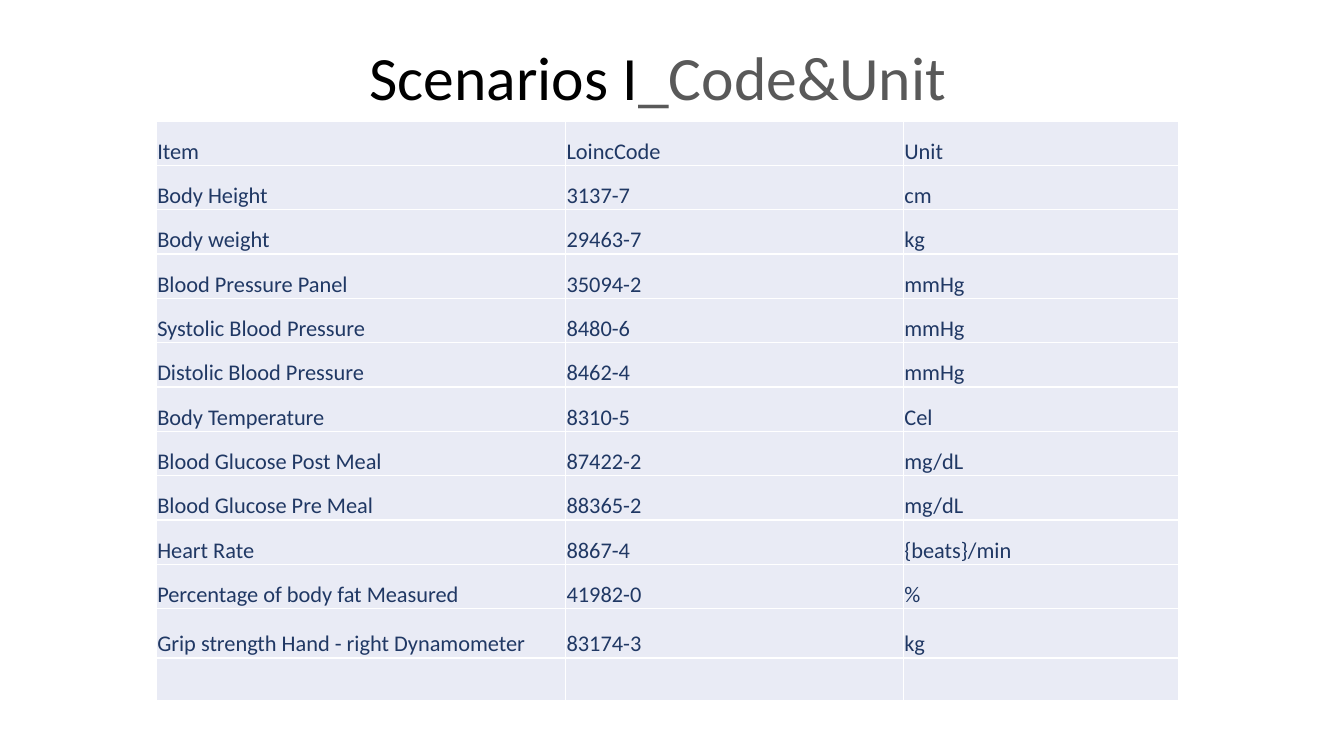
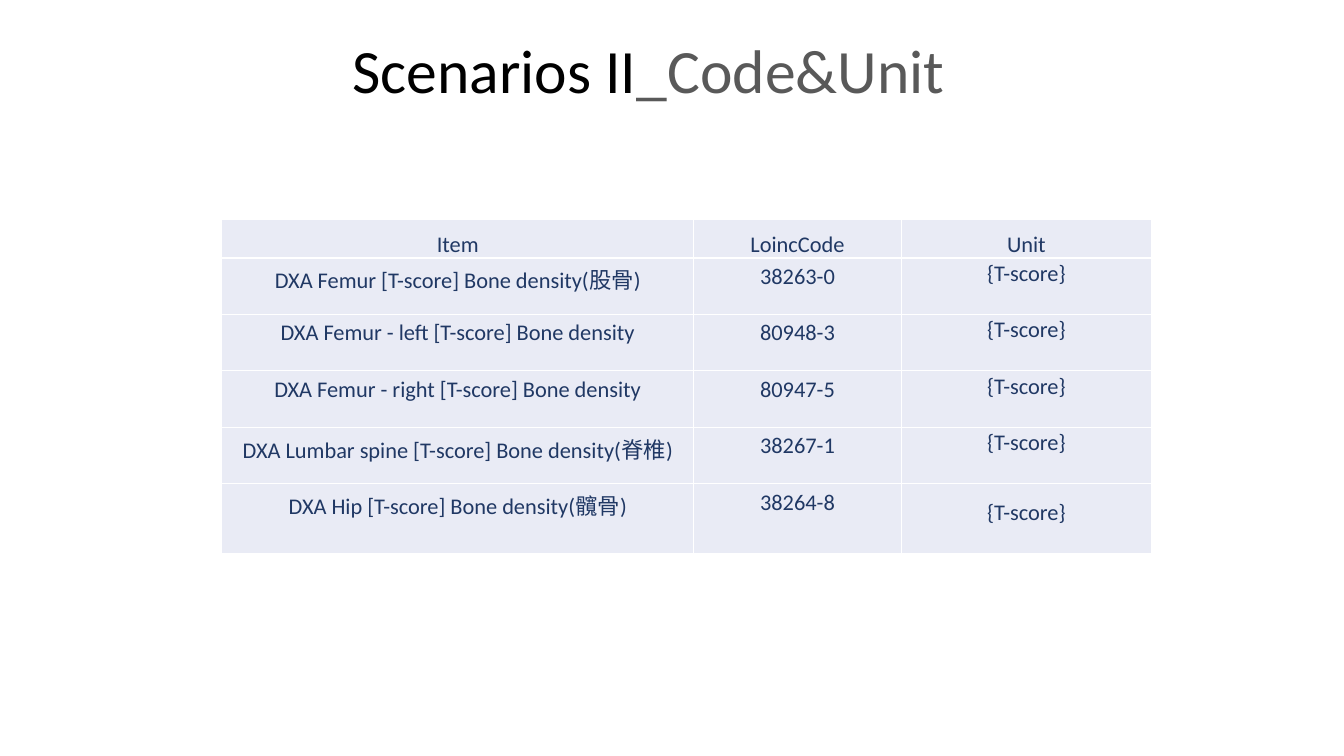
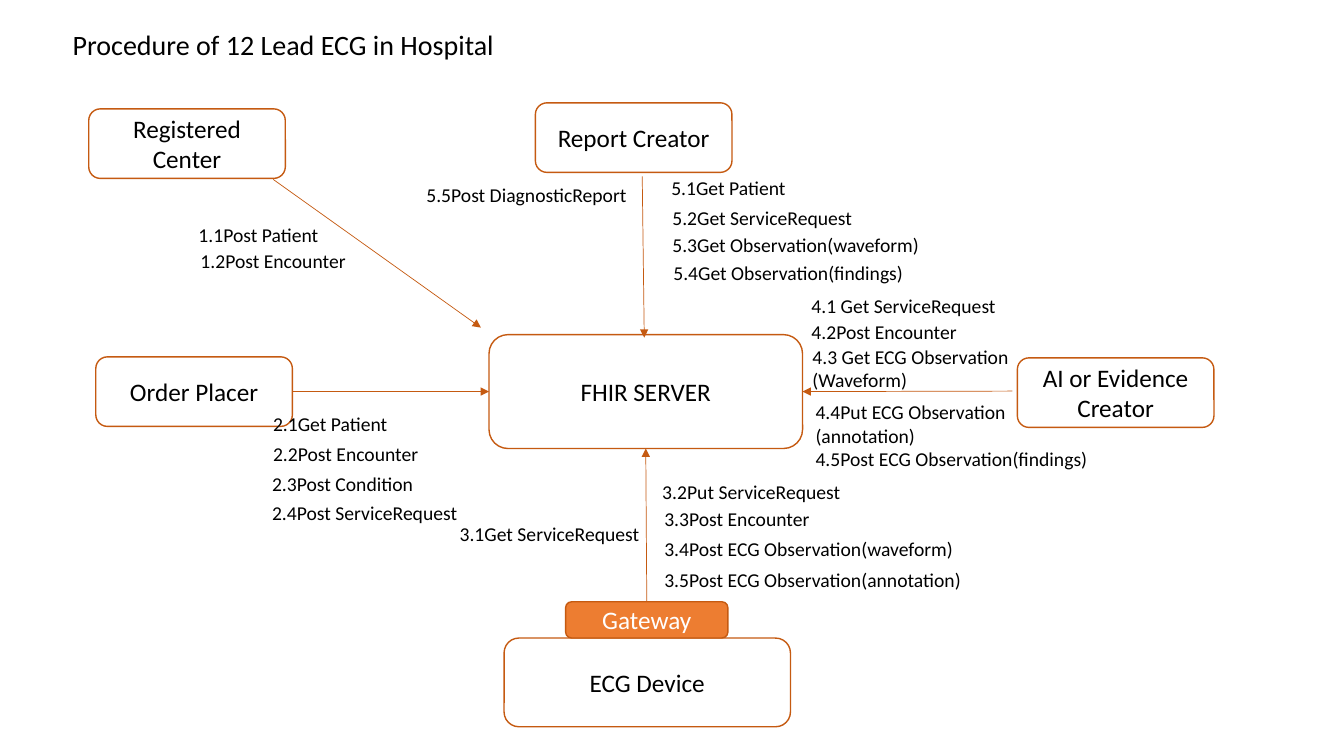
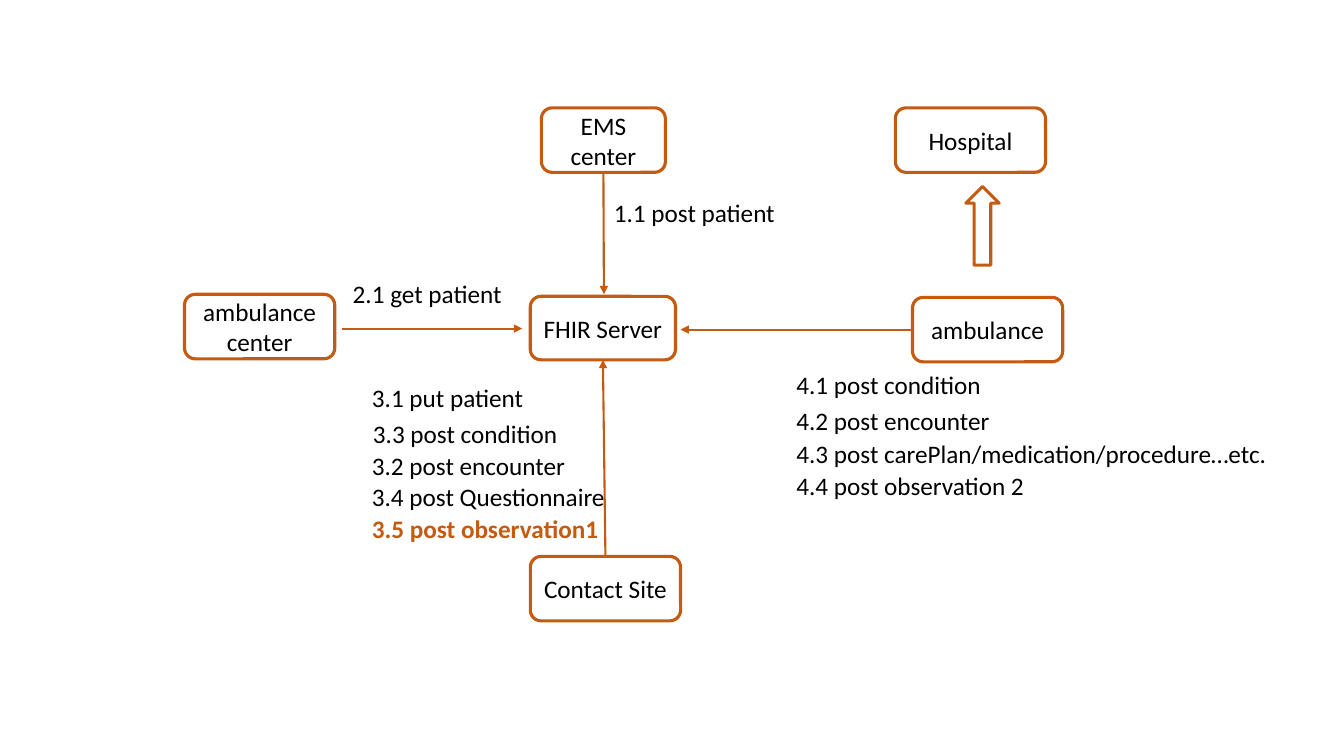
"""Build four slides on FHIR code tables and data exchange scenarios."""
from dataclasses import dataclass
from typing import NamedTuple

from lxml import etree
from pptx import Presentation
from pptx.dml.color import RGBColor
from pptx.enum import shapes, text
from pptx.oxml import ns
from pptx.util import Inches, Pt

FONT = "Calibri"
BLACK, GREY, WHITE = "000000", "595959", "FFFFFF"
NAVY, PALE = "203864", "E9EBF5"
RUST, ORANGE = "C55A11", "ED7D31"
TITLE_ONLY, BLANK = 5, 6
TOP, LEFT, BOTTOM, RIGHT = range(4)


class Area(NamedTuple):
    """Left, top, width and height in inches."""
    left: float
    top: float
    width: float
    height: float


class Insets(NamedTuple):
    """Left, top, right and bottom cell margins in inches."""
    left: float
    top: float
    right: float
    bottom: float


TIGHT = Insets(0.01, 0.01, 0.01, 0)
RAISED = Insets(0.01, 0.01, 0.01, 0.27)
ROOMY = Insets(0.1, 0.05, 0.1, 0.05)


@dataclass
class Node:
    """A rounded box of a diagram."""
    name: str
    area: Area
    fill: str | None = None
    ink: str = BLACK


@dataclass
class Label:
    """A message label beside an arrow."""
    left: float
    top: float
    width: float
    words: str
    ink: str = BLACK
    bold: bool = False


class Arrow(NamedTuple):
    """An arrow between points (x, y) or joints (node name, side)."""
    begin: tuple
    end: tuple


@dataclass
class Diagram:
    """The parts and sizes of one diagram."""
    nodes: list[Node]
    arrows: list[Arrow]
    labels: list[Label]
    label_size: float
    box_line: float
    arrow_line: float


CODE_ROWS = [
    ("Item", "LoincCode", "Unit"),
    ("Body Height", "3137-7", "cm"),
    ("Body weight", "29463-7", "kg"),
    ("Blood Pressure Panel", "35094-2", "mmHg"),
    ("Systolic Blood Pressure", "8480-6", "mmHg"),
    ("Distolic Blood Pressure", "8462-4", "mmHg"),
    ("Body Temperature", "8310-5", "Cel"),
    ("Blood Glucose Post Meal", "87422-2", "mg/dL"),
    ("Blood Glucose Pre Meal", "88365-2", "mg/dL"),
    ("Heart Rate", "8867-4", "{beats}/min"),
    ("Percentage of body fat Measured", "41982-0", "%"),
    ("Grip strength Hand - right Dynamometer", "83174-3", "kg"),
    ("", "", ""),
]

BONE_ROWS = [
    ("Item", "LoincCode", "Unit"),
    ("DXA Femur [T-score] Bone density(股骨)", "38263-0", "{T-score}"),
    ("DXA Femur - left [T-score] Bone density", "80948-3", "{T-score}"),
    ("DXA Femur - right [T-score] Bone density", "80947-5", "{T-score}"),
    ("DXA Lumbar spine [T-score] Bone density(脊椎)", "38267-1", "{T-score}"),
    ("DXA Hip [T-score] Bone density(髖骨)", "38264-8", "{T-score}"),
]

ECG = Diagram(
    nodes=[
        Node("Order Placer", Area(0.95, 3.54, 1.95, 0.69)),
        Node("FHIR SERVER", Area(4.85, 3.32, 3.11, 1.13)),
        Node("ECG Device", Area(5, 6.33, 2.84, 0.88)),
        Node("Report Creator", Area(5.31, 1.02, 1.95, 0.69)),
        Node("AI or Evidence Creator", Area(10.09, 3.55, 1.95, 0.69)),
        Node("Registered Center", Area(0.88, 1.08, 1.95, 0.69)),
        Node("Gateway", Area(5.61, 5.97, 1.61, 0.36), ORANGE, WHITE),
    ],
    arrows=[
        Arrow((6.37, 1.75), (6.39, 3.35)),
        Arrow(("Order Placer", RIGHT), ("FHIR SERVER", LEFT)),
        Arrow(("Gateway", TOP), ("FHIR SERVER", BOTTOM)),
        Arrow((10.04, 3.88), ("FHIR SERVER", RIGHT)),
        Arrow((2.71, 1.78), (4.77, 3.25)),
    ],
    labels=[
        Label(1.87, 2.16, 1.64, "1.1Post Patient"),
        Label(1.89, 2.42, 1.9, "1.2Post Encounter"),
        Label(2.61, 4.04, 2.33, "2.1Get Patient"),
        Label(2.61, 4.33, 2.33, "2.2Post Encounter"),
        Label(2.6, 4.63, 2.33, "2.3Post Condition"),
        Label(2.6, 4.92, 2.33, "2.4Post ServiceRequest"),
        Label(4.46, 5.13, 2.01, "3.1Get ServiceRequest"),
        Label(6.47, 4.71, 2.03, "3.2Put ServiceRequest"),
        Label(6.49, 4.98, 2.03, "3.3Post Encounter"),
        Label(6.49, 5.28, 3.09, "3.4Post ECG Observation(waveform)"),
        Label(6.49, 5.58, 3.29, "3.5Post ECG Observation(annotation)"),
        Label(7.95, 2.87, 2.41, "4.1 Get ServiceRequest"),
        Label(7.95, 3.12, 2.03, "4.2Post Encounter"),
        Label(7.96, 3.37, 2.41, "4.3 Get ECG Observation\n(Waveform)"),
        Label(7.99, 3.92, 2.98, "4.4Put ECG Observation\n(annotation)\n"
                                "4.5Post ECG Observation(findings)"),
        Label(6.56, 1.7, 2.33, "5.1Get Patient"),
        Label(6.57, 1.99, 5.27, "5.2Get ServiceRequest"),
        Label(6.57, 2.26, 2.66, "5.3Get Observation(waveform)"),
        Label(6.58, 2.54, 3.2, "5.4Get Observation(findings)"),
        Label(4.13, 1.77, 2.95, "5.5Post DiagnosticReport"),
    ],
    label_size=14, box_line=1, arrow_line=0.5,
)

EMERGENCY = Diagram(
    nodes=[
        Node("EMS center", Area(5.37, 1.07, 1.23, 0.64)),
        Node("FHIR Server", Area(5.26, 2.94, 1.44, 0.63)),
        Node("ambulance center", Area(1.83, 2.92, 1.49, 0.64)),
        Node("Contact Site", Area(5.26, 5.52, 1.49, 0.64)),
        Node("ambulance", Area(9.05, 2.95, 1.49, 0.64)),
        Node("Hospital", Area(8.88, 1.07, 1.49, 0.64)),
    ],
    arrows=[
        Arrow(("EMS center", BOTTOM), (5.99, 2.92)),
        Arrow((3.39, 3.26), (5.18, 3.26)),
        Arrow(("Contact Site", TOP), ("FHIR Server", BOTTOM)),
        Arrow(("ambulance", LEFT), (6.75, 3.27)),
    ],
    labels=[
        Label(5.99, 1.91, 2.23, "1.1 post patient"),
        Label(3.4, 2.71, 1.82, "2.1 get patient"),
        Label(3.59, 3.74, 1.82, "3.1 put patient"),
        Label(3.6, 4.1, 2.11, "3.3 post condition"),
        Label(3.59, 4.42, 2.16, "3.2 post encounter"),
        Label(3.59, 4.73, 2.56, "3.4 post Questionnaire"),
        Label(3.59, 5.04, 2.56, "3.5 post observation1", RUST, True),
        Label(7.8, 3.61, 2.11, "4.1 post condition"),
        Label(7.8, 3.97, 2.16, "4.2 post encounter"),
        Label(7.8, 4.3, 4.9, "4.3 post carePlan/medication/procedure…etc."),
        Label(7.8, 4.62, 2.56, "4.4 post observation 2"),
    ],
    label_size=18, box_line=2.25, arrow_line=1.5,
)


def color(value: str) -> RGBColor:
    """Turn a hex string into a colour."""
    return RGBColor.from_string(value)


def inches(values) -> list:
    """Turn numbers into lengths."""
    return [Inches(value) for value in values]


def style(para, size: float, ink: str, align=None, bold: bool = False) -> None:
    """Set the font and alignment of a paragraph."""
    para.font.name = FONT
    para.font.size = Pt(size)
    para.font.bold = bold
    para.font.color.rgb = color(ink)
    para.alignment = align


def set_title(page, area: Area, spans: list[tuple[str, str]], size: float, align) -> None:
    """Place the title and fill it with coloured spans."""
    title = page.shapes.title
    title.left, title.top, title.width, title.height = inches(area)
    frame = title.text_frame
    frame.auto_size = text.MSO_AUTO_SIZE.NONE
    para = frame.paragraphs[0]
    style(para, size, spans[0][1], align)
    for words, ink in spans:
        span = para.add_run()
        span.text = words
        span.font.color.rgb = color(ink)


def add_borders(cell, ink: str, width: float) -> None:
    """Draw a line on all four sides of a cell."""
    properties = cell._tc.get_or_add_tcPr()
    for side in ("a:lnL", "a:lnR", "a:lnT", "a:lnB"):
        line = etree.SubElement(properties, ns.qn(side), w=str(Pt(width)))
        fill = etree.SubElement(line, ns.qn("a:solidFill"))
        etree.SubElement(fill, ns.qn("a:srgbClr"), val=ink)


def fill_cell(cell, words: str, align, insets: Insets, anchor) -> None:
    """Format one table cell and write its text."""
    add_borders(cell, WHITE, 1)
    cell.fill.solid()
    cell.fill.fore_color.rgb = color(PALE)
    (cell.margin_left, cell.margin_top,
     cell.margin_right, cell.margin_bottom) = inches(insets)
    cell.vertical_anchor = anchor
    cell.text = words
    style(cell.text_frame.paragraphs[0], 16, NAVY, align)


def add_code_table(page, left: float, top: float, widths: list[float],
                   heights: list[float], rows: list[tuple], align,
                   body_insets: list[Insets]) -> None:
    """Add a code table; roomy body cells hang from the top."""
    area = Area(left, top, sum(widths), sum(heights))
    table = page.shapes.add_table(len(rows), len(widths), *inches(area)).table
    table.first_row = table.horz_banding = False
    for column, width in zip(table.columns, widths):
        column.width = Inches(width)
    for row, height in zip(table.rows, heights):
        row.height = Inches(height)
    for i, row in enumerate(rows):
        for j, words in enumerate(row):
            insets = body_insets[j] if i else TIGHT
            anchor = text.MSO_ANCHOR.TOP if insets is ROOMY else text.MSO_ANCHOR.BOTTOM
            fill_cell(table.cell(i, j), words, align, insets, anchor)


def add_outline(page, kind, area: Area, width: float, fill: str | None = None):
    """Add a preset shape with a rust outline."""
    box = page.shapes.add_shape(kind, *inches(area))
    box.shadow.inherit = False
    box.line.color.rgb = color(RUST)
    box.line.width = Pt(width)
    if fill:
        box.fill.solid()
        box.fill.fore_color.rgb = color(fill)
    else:
        box.fill.background()
    return box


def add_node(page, node: Node, width: float):
    """Add a rounded box with its centred name."""
    box = add_outline(page, shapes.MSO_SHAPE.ROUNDED_RECTANGLE, node.area, width, node.fill)
    frame = box.text_frame
    frame.word_wrap = True
    frame.vertical_anchor = text.MSO_ANCHOR.MIDDLE
    frame.text = node.name
    style(frame.paragraphs[0], 18, node.ink, text.PP_ALIGN.CENTER)
    return box


def add_label(page, label: Label, size: float) -> None:
    """Add a text box as tall as its lines."""
    lines = label.words.count("\n") + 1
    area = Area(label.left, label.top, label.width, lines * size * 1.22 / 72 + 0.1)
    frame = page.shapes.add_textbox(*inches(area)).text_frame
    frame.word_wrap = True
    frame.auto_size = text.MSO_AUTO_SIZE.SHAPE_TO_FIT_TEXT
    frame.text = label.words
    for para in frame.paragraphs:
        style(para, size, label.ink, bold=label.bold)


def add_arrow(page, arrow: Arrow, boxes: dict, width: float) -> None:
    """Add an arrow and join the ends that name a box."""
    points = [(0, 0) if end[0] in boxes else end for end in arrow]
    line = page.shapes.add_connector(
        shapes.MSO_CONNECTOR.STRAIGHT, *inches(points[0] + points[1]))
    for (target, side), connect in zip(arrow, (line.begin_connect, line.end_connect)):
        if target in boxes:
            connect(boxes[target], side)
    line.line.color.rgb = color(RUST)
    line.line.width = Pt(width)
    etree.SubElement(line.line._get_or_add_ln(), ns.qn("a:tailEnd"), type="triangle")
    etree.SubElement(line._element.spPr, ns.qn("a:effectLst"))


def add_diagram(page, diagram: Diagram) -> None:
    """Draw the boxes, arrows and labels of a diagram."""
    boxes = {node.name: add_node(page, node, diagram.box_line) for node in diagram.nodes}
    for arrow in diagram.arrows:
        add_arrow(page, arrow, boxes, diagram.arrow_line)
    for label in diagram.labels:
        add_label(page, label, diagram.label_size)


def main() -> None:
    """Build and save the deck."""
    deck = Presentation()
    deck.slide_width, deck.slide_height = inches((13.33, 7.5))
    codes, bones, ecg, emergency = [
        deck.slides.add_slide(deck.slide_layouts[layout])
        for layout in (TITLE_ONLY, TITLE_ONLY, TITLE_ONLY, BLANK)]
    center, left = text.PP_ALIGN.CENTER, text.PP_ALIGN.LEFT
    suffix = ("_Code&Unit", GREY)

    set_title(codes, Area(1.23, 0.31, 10.59, 0.89),
              [("Scenarios I", BLACK), suffix], 44, center)
    add_code_table(codes, 1.55, 1.2, [4.06, 3.35, 2.73], [0.44] * 11 + [0.49, 0.42],
                   CODE_ROWS, left, [TIGHT] * 3)

    set_title(bones, Area(1.14, 0.24, 10.59, 0.89),
              [("Scenarios II", BLACK), suffix], 44, center)
    add_code_table(bones, 2.2, 2.18, [4.68, 2.06, 2.48], [0.38] + [0.56] * 4 + [0.69],
                   BONE_ROWS, center, [ROOMY, ROOMY, RAISED])

    set_title(ecg, Area(0.62, 0.22, 5.22, 0.44),
              [("Procedure of 12 Lead ECG in Hospital", BLACK)], 20, left)
    add_diagram(ecg, ECG)

    add_diagram(emergency, EMERGENCY)
    add_outline(emergency, shapes.MSO_SHAPE.UP_ARROW, Area(9.58, 1.85, 0.33, 0.78),
                EMERGENCY.box_line)
    deck.save("out.pptx")


if __name__ == "__main__":
    main()
